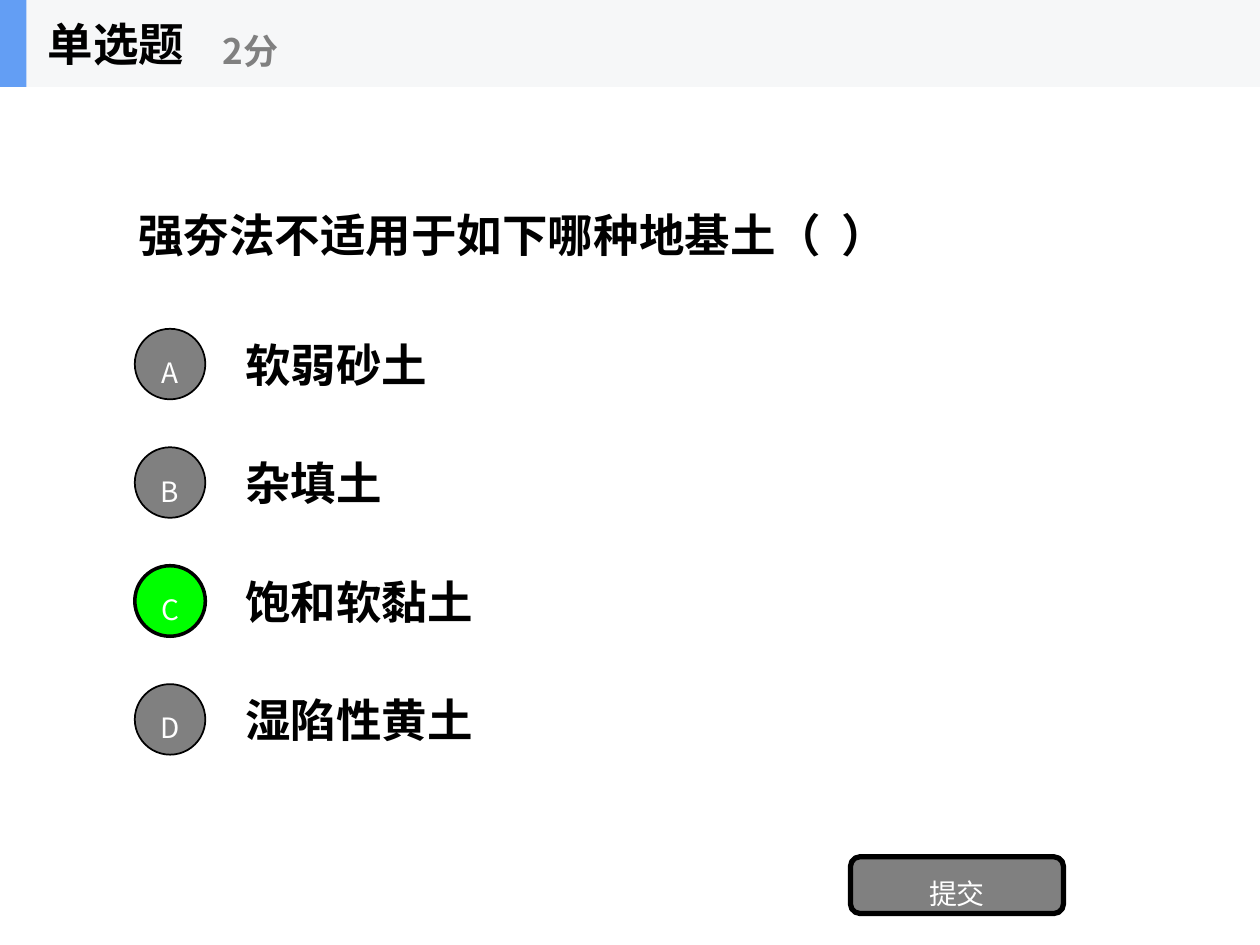
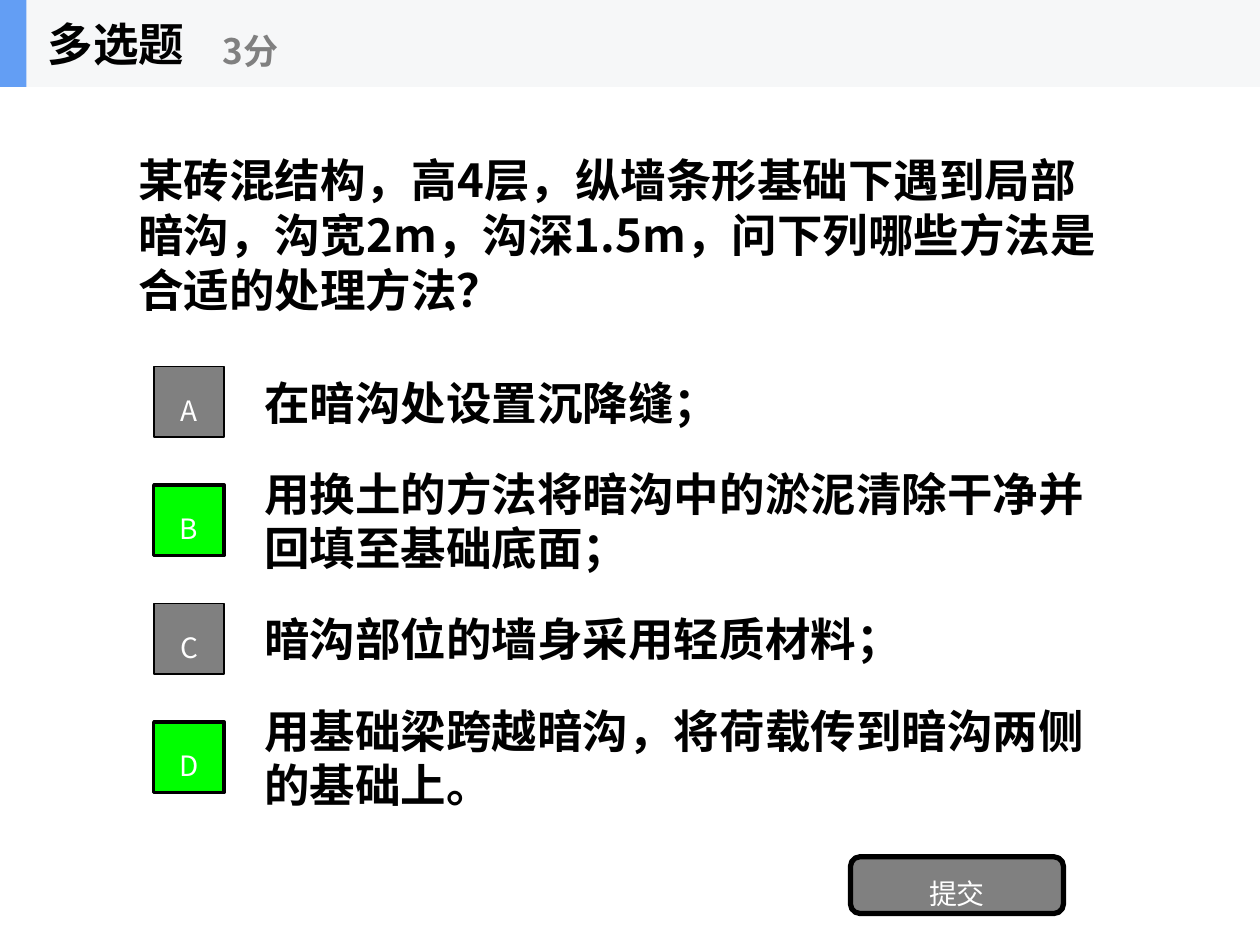
from dataclasses import dataclass

import pptx
import pptx.dml.color
import pptx.enum.shapes
import pptx.enum.text
import pptx.oxml.ns
import pptx.util
from lxml import etree

Inches = pptx.util.Inches
Pt = pptx.util.Pt
RGBColor = pptx.dml.color.RGBColor
Shape = pptx.enum.shapes.MSO_SHAPE
Align = pptx.enum.text.PP_ALIGN

FONT = "Noto Sans CJK SC"
BLACK = RGBColor(0x00, 0x00, 0x00)
WHITE = RGBColor(0xFF, 0xFF, 0xFF)
GRAY = RGBColor(0x80, 0x80, 0x80)
GREEN = RGBColor(0x00, 0xFF, 0x00)
BAND = RGBColor(0xF6, 0xF7, 0xF8)
ACCENT = RGBColor(0x63, 0x9E, 0xF4)

HEADER_HEIGHT = 0.69
BADGE_SIZE = 0.56
OPTION_HEIGHT = 0.7
OPTION_PITCH = 0.94
BADGE_TO_TEXT = 0.78


@dataclass(frozen=True)
class Option:
    text: str
    correct: bool = False


@dataclass(frozen=True)
class Question:
    kind: str
    score: str
    prompt: str
    options: tuple[Option, ...]
    badge_shape: Shape
    badge_left: float
    options_top: float


QUESTIONS = (
    Question(
        "单选题", "2分", "强夯法不适用于如下哪种地基土（  ）",
        (
            Option("软弱砂土"),
            Option("杂填土"),
            Option("饱和软黏土", correct=True),
            Option("湿陷性黄土"),
        ),
        Shape.OVAL, badge_left=1.07, options_top=2.54,
    ),
    Question(
        "多选题", "3分",
        "某砖混结构，高4层，纵墙条形基础下遇到局部暗沟，沟宽2m，沟深1.5m，"
        "问下列哪些方法是合适的处理方法？",
        (
            Option("在暗沟处设置沉降缝；"),
            Option("用换土的方法将暗沟中的淤泥清除干净并回填至基础底面；", correct=True),
            Option("暗沟部位的墙身采用轻质材料；"),
            Option("用基础梁跨越暗沟，将荷载传到暗沟两侧的基础上。", correct=True),
        ),
        Shape.RECTANGLE, badge_left=1.22, options_top=2.84,
    ),
)


def write(box, text: str, size: float, color: RGBColor, bold: bool = False):
    """Put one vertically centred paragraph in the box and return it."""
    frame = box.text_frame
    frame.word_wrap = True
    frame.vertical_anchor = pptx.enum.text.MSO_ANCHOR.MIDDLE
    para = frame.paragraphs[0]
    span = para.add_run()
    span.text = text
    span.font.name = FONT
    span.font.size = Pt(size)
    span.font.bold = bold
    span.font.color.rgb = color
    east_asian = etree.SubElement(span.font._element, pptx.oxml.ns.qn("a:ea"))
    east_asian.set("typeface", FONT)
    return para


def add_text(shapes, left: float, top: float, width: float, height: float,
             text: str, size: float = 26, color: RGBColor = BLACK) -> None:
    box = shapes.add_textbox(Inches(left), Inches(top), Inches(width), Inches(height))
    write(box, text, size, color, bold=True)


def add_filled(shapes, preset: Shape, left: float, top: float, width: float,
               height: float, fill: RGBColor, line_width: float = 0):
    """Add a filled shape, outlined in black when line_width is above zero."""
    shape = shapes.add_shape(
        preset, Inches(left), Inches(top), Inches(width), Inches(height))
    shape.shadow.inherit = False
    shape.fill.solid()
    shape.fill.fore_color.rgb = fill
    if line_width:
        shape.line.color.rgb = BLACK
        shape.line.width = Pt(line_width)
    else:
        shape.line.fill.background()
    return shape


def label(shape, text: str) -> None:
    frame = shape.text_frame
    frame.margin_left = frame.margin_right = Inches(0)
    frame.margin_top = frame.margin_bottom = Inches(0)
    para = write(shape, text, 16, WHITE)
    para.alignment = Align.CENTER
    para.line_spacing = 1.5


def add_header(page, question: Question) -> None:
    shapes = page.shapes.add_group_shape().shapes
    add_filled(shapes, Shape.RECTANGLE, 0, 0, 10, HEADER_HEIGHT, BAND)
    add_filled(shapes, Shape.RECTANGLE, 0, 0, 0.21, HEADER_HEIGHT, ACCENT)
    add_text(shapes, 0.28, 0, 2.08, HEADER_HEIGHT, question.kind)
    add_text(shapes, 1.67, 0.12, 2.5, 0.56, question.score, 20, GRAY)


def add_option(page, question: Question, index: int) -> None:
    option = question.options[index]
    top = question.options_top + index * OPTION_PITCH
    add_text(page.shapes, question.badge_left + BADGE_TO_TEXT, top, 7,
             OPTION_HEIGHT, option.text)
    badge = add_filled(
        page.shapes, question.badge_shape, question.badge_left,
        top + (OPTION_HEIGHT - BADGE_SIZE) / 2, BADGE_SIZE, BADGE_SIZE,
        GREEN if option.correct else GRAY, 2 if option.correct else 1)
    label(badge, "ABCD"[index])


def add_question(deck, question: Question) -> None:
    page = deck.slides.add_slide(deck.slide_layouts[6])
    add_text(page.shapes, 1, 0.69, 8, 2.34, question.prompt)
    for index in range(len(question.options)):
        add_option(page, question, index)
    button = add_filled(
        page.shapes, Shape.ROUNDED_RECTANGLE, 6.75, 6.8, 1.69, 0.45, GRAY, 3)
    label(button, "提交")
    add_header(page, question)


def main() -> None:
    deck = pptx.Presentation()
    deck.slide_width = Inches(10)
    deck.slide_height = Inches(7.5)
    for question in QUESTIONS:
        add_question(deck, question)
    deck.save("out.pptx")


if __name__ == "__main__":
    main()
